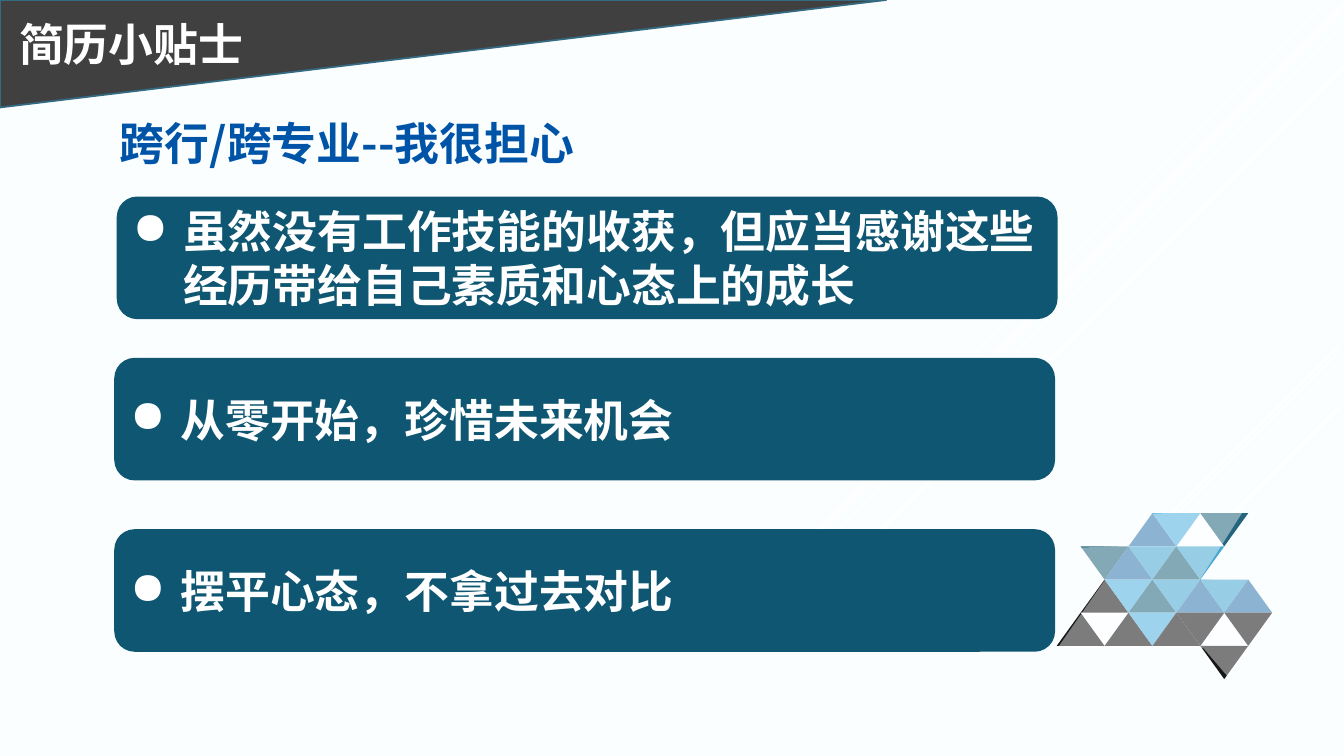
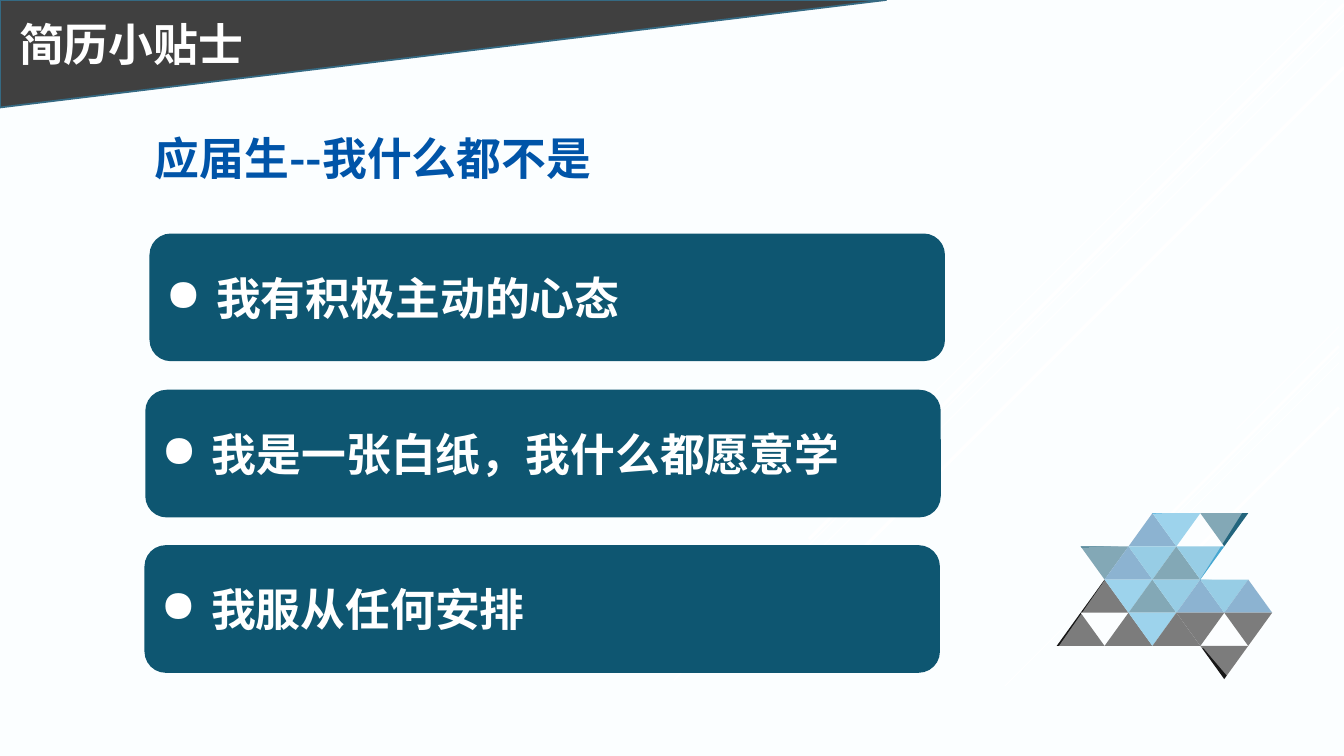
from dataclasses import dataclass

from lxml.etree import SubElement
from pptx import Presentation
from pptx.dml.color import RGBColor as Rgb
from pptx.enum.shapes import MSO_CONNECTOR as Conn, MSO_SHAPE as Kind
from pptx.enum.text import MSO_ANCHOR as Anchor, MSO_AUTO_SIZE as Fit, PP_ALIGN as Align
from pptx.oxml.ns import qn
from pptx.util import Inches, Pt

COLS, ROWS = 160, 90
WIDE, HIGH = Inches(13.33), Inches(7.5)


@dataclass(frozen=True)
class Theme:
    page: str = "FBFEFF"
    white: str = "FFFFFF"
    band: str = "404040"
    edge: str = "356A83"
    head: str = "0054A8"
    card: str = "0E5671"
    font: str = "Noto Sans CJK SC"
    size: float = 32
    rim: float = 1.25
    veil: int = 9
    haze: int = 44


THEME = Theme()
TILES = {"b": "1F6BA5", "t": "0E5671", "s": "40ABDB", "a": "349FCD", "k": "000000"}
MOSAIC = ["...bs.t.", ".tbata..", ".kstabab", "k.kskk.k", "......k."]
HAZE = [(134.2, 65), (136.2, 61.2), (148.1, 60.7), (142.8, 69.1), (148.4, 68.6), (151.6, 73.1),
        (146.2, 80.6), (143.3, 77.2), (125.8, 77.3), (131.5, 69.1), (128.4, 65.2)]
RAYS = [(159.4, 38.9, 12.2, 0.75), (159.4, 41.9, 39.8, 0.75), (159.4, 43.2, 25.3, 0.75),
        (159.4, 41.2, 23.4, 2.25), (159.4, 48.5, 17, 2.25)]
BEAMS = [(157.9, 0.1, 50, 1), (160, 1.2, 79.8, 1), (160, 3, 65, 1),
         (160, 0.5, 63.7, 2.5), (160, 8, 57, 2.5)]
TITLE = "简历小贴士"
PAGES = [
    ("跨行/跨专业--我很担心", (13.1, 13.2, 79.4, 7.7), (112, 14.6), [
        (13.9, 23.4, "虽然没有工作技能的收获，但应当感谢这些经历带给自己素质和心态上的成长"),
        (13.6, 42.6, "从零开始，珍惜未来机会"),
        (13.6, 63, "摆平心态，不拿过去对比")]),
    ("应届生--我什么都不是", (17.2, 15, 70, 7.7), (94.7, 15.2), [
        (17.8, 27.8, "我有积极主动的心态"),
        (17.3, 46.4, "我是一张白纸，我什么都愿意学"),
        (17.2, 64.9, "我服从任何安排")]),
]


def col(n):
    return round(WIDE * n / COLS)


def row(n):
    return round(HIGH * n / ROWS)


def place(x, y, w, h):
    return col(x), row(y), col(w), row(h)


class Deck:
    def __init__(self, theme):
        self.theme = theme
        self.show = Presentation()
        self.show.slide_width, self.show.slide_height = WIDE, HIGH
        self.slide = None

    def start(self):
        self.slide = self.show.slides.add_slide(self.show.slide_layouts[6])
        fill = self.slide.background.fill
        fill.solid()
        fill.fore_color.rgb = Rgb.from_string(self.theme.page)

    def paint(self, shape, color, alpha=None):
        shape.shadow.inherit = False
        shape.fill.solid()
        shape.fill.fore_color.rgb = Rgb.from_string(color)
        shape.line.fill.background()
        if alpha:
            tint = next(shape.element.spPr.iter(qn("a:srgbClr")))
            SubElement(tint, qn("a:alpha")).set("val", str(alpha * 1000))
        return shape

    def shape(self, kind, box, color, alpha=None):
        return self.paint(self.slide.shapes.add_shape(kind, *place(*box)), color, alpha)

    def poly(self, dots, color, alpha=None):
        first, *rest = [(col(x), row(y)) for x, y in dots]
        form = self.slide.shapes.build_freeform(*first)
        form.add_line_segments(rest, close=True)
        return self.paint(form.convert_to_shape(), color, alpha)

    def rays(self, lines):
        for x, y, run, width in lines:
            ray = self.slide.shapes.add_connector(
                Conn.STRAIGHT, col(x), row(y), col(x - run), row(y + run))
            ray.line.color.rgb = Rgb.from_string(self.theme.white)
            ray.line.width = Pt(width)
            SubElement(ray.element.spPr, qn("a:effectLst"))

    def mosaic(self, left=125.8, top=61.1, half=2.85, tall=3.95):
        for r, line in enumerate(MOSAIC):
            for c, key in enumerate(line):
                if key in TILES:
                    x, y = left + c * half, top + r * tall
                    tip, base = (y, y + tall) if (r + c) % 2 else (y + tall, y)
                    self.poly([(x + half, tip), (x + 2 * half, base), (x, base)], TILES[key])

    def fill_text(self, frame, text, color):
        frame.word_wrap = True
        para = frame.paragraphs[0]
        para.text = text
        para.alignment = Align.LEFT
        font = para.font
        font.size, font.bold, font.name = Pt(self.theme.size), True, self.theme.font
        font.color.rgb = Rgb.from_string(color)
        props = next(frame._txBody.iter(qn("a:pPr")))
        SubElement(props.find(qn("a:defRPr")), qn("a:ea")).set("typeface", self.theme.font)
        return props

    def label(self, box, text, color):
        frame = self.slide.shapes.add_textbox(*place(*box)).text_frame
        self.fill_text(frame, text, color)
        frame.auto_size = Fit.SHAPE_TO_FIT_TEXT

    def card(self, box, text):
        frame = self.shape(Kind.ROUNDED_RECTANGLE, box, self.theme.card).text_frame
        frame.vertical_anchor = Anchor.MIDDLE
        props = self.fill_text(frame, text, self.theme.white)
        props.set("marL", str(col(6)))
        props.set("indent", str(-col(6)))
        dot = SubElement(props, qn("a:buChar"))
        dot.set("char", "●")
        props.insert(0, dot)

    def base(self):
        look = self.theme
        self.rays(RAYS)
        self.mosaic()
        self.rays(BEAMS)
        self.shape(Kind.RECTANGLE, (0.4, 0, 159.6, 90), look.white, look.veil)
        self.poly(HAZE, look.white, look.haze)
        band = self.shape(Kind.RIGHT_TRIANGLE, (0, 0, 105.5, 12.8), look.band)
        band.element.spPr.get_or_add_xfrm().set("flipV", "1")
        band.line.color.rgb = Rgb.from_string(look.edge)
        band.line.width = Pt(look.rim)
        self.label((1.1, 1.4, 56.9, 7.7), TITLE, look.white)


def main():
    deck = Deck(THEME)
    for head, spot, size, cards in PAGES:
        deck.start()
        deck.base()
        deck.label(spot, head, THEME.head)
        for x, y, text in cards:
            deck.card((x, y, *size), text)
    deck.show.save("out.pptx")


if __name__ == "__main__":
    main()
